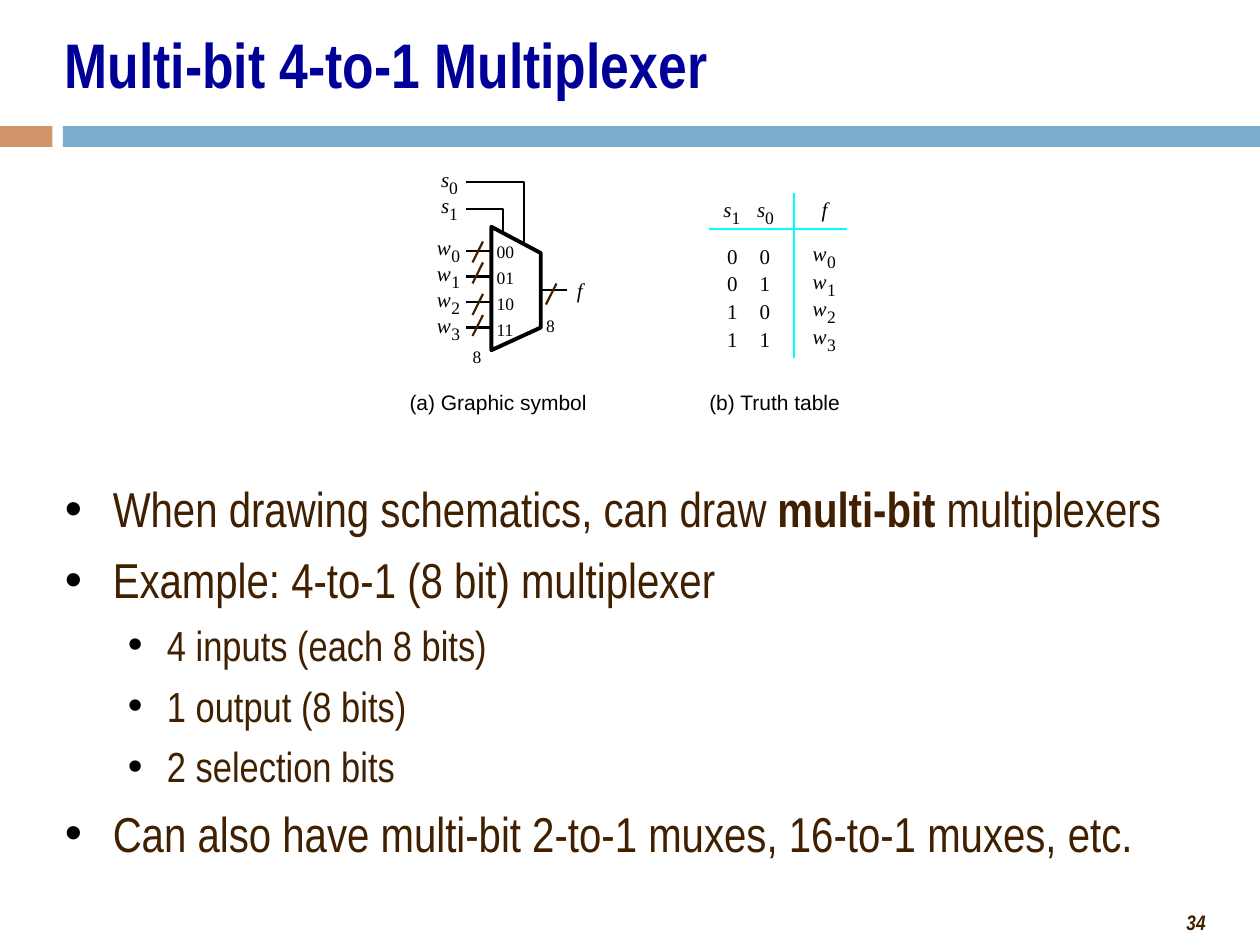
from lxml.etree import SubElement
from pptx import Presentation
from pptx.dml.color import RGBColor
from pptx.enum.shapes import MSO_CONNECTOR, MSO_SHAPE
from pptx.enum.text import MSO_ANCHOR, PP_ALIGN
from pptx.oxml.ns import qn
from pptx.util import Inches, Pt

BLACK = RGBColor(0x00, 0x00, 0x00)
WHITE = RGBColor(0xFF, 0xFF, 0xFF)
NAVY = RGBColor(0x00, 0x00, 0x99)
BROWN = RGBColor(0x40, 0x20, 0x00)
ORANGE = RGBColor(0xCF, 0x94, 0x67)
BLUE = RGBColor(0x7A, 0xAD, 0xCC)
CYAN = RGBColor(0x00, 0xFF, 0xFF)

presentation = Presentation()
presentation.slide_width = Inches(10)
presentation.slide_height = Inches(7.5)
slide = presentation.slides.add_slide(presentation.slide_layouts[6])

# The slide is a grid of 120 columns by 90 rows; every place below is in cells.
CELL = presentation.slide_width / 120


def add_text(text, column, row, width=2, height=2.4, size=12, font="Times New Roman",
             color=BLACK, bold=False, italic=False, align=PP_ALIGN.LEFT,
             anchor=MSO_ANCHOR.TOP, inset=0):
    box = slide.shapes.add_textbox(*(round(n * CELL) for n in (column, row, width, height)))
    frame = box.text_frame
    frame.word_wrap = True
    frame.vertical_anchor = anchor
    frame.margin_left = frame.margin_right = Inches(inset)
    frame.margin_top = frame.margin_bottom = Inches(inset / 2)
    paragraph = frame.paragraphs[0]
    paragraph.alignment = align
    run = paragraph.add_run()
    run.text = text
    run.font.size, run.font.name = Pt(size), font
    run.font.bold, run.font.italic = bold, italic
    run.font.color.rgb = color
    return frame


def add_line(points, color=BLACK, weight=1.25, fill=None):
    """Draw a straight line, an open path, or a closed outline when filled."""
    points = [(round(x * CELL), round(y * CELL)) for x, y in points]
    if len(points) == 2:
        line = slide.shapes.add_connector(MSO_CONNECTOR.STRAIGHT, *points[0], *points[1])
        SubElement(line._element.spPr, qn("a:effectLst"))
    else:
        builder = slide.shapes.build_freeform(*points[0])
        builder.add_line_segments(points[1:], close=fill is not None)
        line = builder.convert_to_shape()
        line.shadow.inherit = False
        if fill is None:
            line.fill.background()
        else:
            line.fill.solid()
            line.fill.fore_color.rgb = fill
    line.line.color.rgb = color
    line.line.width = Pt(weight)


# Header band, title and page number
for column, width, color in ((0, 5, ORANGE), (6, 114, BLUE)):
    band = slide.shapes.add_shape(MSO_SHAPE.RECTANGLE, *(round(n * CELL) for n in (column, 12, width, 2)))
    band.shadow.inherit = False
    band.fill.solid()
    band.fill.fore_color.rgb = color
    band.line.fill.background()
add_text("Multi-bit 4-to-1 Multiplexer", 5, 1, 110, 10, size=36, font="Arial Narrow",
         color=NAVY, bold=True, anchor=MSO_ANCHOR.MIDDLE, inset=0.1)
add_text("34", 90, 86, 26, 3.6, font="Arial Narrow", color=BROWN, bold=True, italic=True,
         align=PP_ALIGN.RIGHT, inset=0.1)

# Bulleted text: level and runs, where every second run is bold
bullets = [
    (0, ["When drawing schematics, can draw ", "multi-bit", " multiplexers"]),
    (0, ["Example: 4-to-1 (8 bit) multiplexer"]),
    (1, ["4 inputs (each 8 bits)"]),
    (1, ["1 output (8 bits)"]),
    (1, ["2 selection bits"]),
    (0, ["Can also have multi-bit 2-to-1 muxes, 16-to-1 muxes, etc."]),
]
level_formats = [(28, 7, 0.38, 0.38), (24, 6, 0.81, 0.31)]
body = add_text("", 5, 45, 110, 39, inset=0.1)
body.clear()
for index, (level, runs) in enumerate(bullets):
    size, space, margin, hanging = level_formats[level]
    paragraph = body.add_paragraph() if index else body.paragraphs[0]
    paragraph.level = level
    paragraph.space_before = Pt(space if index else 0)
    properties = paragraph._p.get_or_add_pPr()
    properties.set("marL", str(Inches(margin)))
    properties.set("indent", str(-Inches(hanging)))
    bullet_color = SubElement(properties, qn("a:buClr"))
    SubElement(bullet_color, qn("a:srgbClr"), val=str(BLACK))
    SubElement(properties, qn("a:buFont"), typeface="Arial")
    SubElement(properties, qn("a:buChar"), char="•")
    for position, text in enumerate(runs):
        run = paragraph.add_run()
        run.text = text
        run.font.size, run.font.name = Pt(size), "Arial Narrow"
        run.font.bold = position % 2 == 1
        run.font.color.rgb = BROWN

# Multiplexer symbol
WIRE_LEFT, MUX_LEFT, MUX_RIGHT = 44.4, 46.8, 51.5
add_line([(MUX_RIGHT, 31.2), (MUX_RIGHT, 24.1), (MUX_LEFT, 21.6), (MUX_LEFT, 33.35)],
         weight=2.25, fill=WHITE)
add_line([(WIRE_LEFT, 17.3), (49.9, 17.3), (49.9, 23.2)])
add_line([(WIRE_LEFT, 19.9), (47.9, 19.9), (47.9, 22.3)])
add_line([(MUX_RIGHT, 27.6), (54, 27.6)])
for index, code in enumerate(("00", "01", "10", "11")):
    wire_row = 23.9 + index * 2.43
    add_line([(WIRE_LEFT, wire_row), (MUX_LEFT, wire_row)])
    add_text(code, 47.3, 22.95 + index * 2.48, size=10)
for column, row in ((45, 23), (45, 25), (45, 28), (45, 30), (52, 27)):
    add_line([(column + 1, row), (column, row + 2)], color=BROWN)
for column, row in ((45, 33), (52, 30)):
    add_text("8", column, row, size=10)

# Truth table rules and selection values
add_line([(67.55, 21.85), (80.65, 21.85)], color=CYAN)
add_line([(75.6, 18.4), (75.6, 34.05)], color=CYAN)
TABLE_PITCH = 2.64
for index in range(4):
    for column, bit in ((69.25, index // 2), (72.35, index % 2)):
        add_text(str(bit), column, 23.15 + index * TABLE_PITCH)

# Italic variables with their subscripts
variables = [("s", 0, 42, 15.85), ("s", 1, 42, 18.35),
             ("s", 1, 68.9, 18.75), ("s", 0, 72.1, 18.75)]
for index in range(4):
    variables.append(("w", index, 41.6, 22.3 + index * 2.48))
    variables.append(("w", index, 77.4, 22.9 + index * TABLE_PITCH))
for letter, subscript, column, row in variables:
    add_text(letter, column, row, italic=True)
    add_text(str(subscript), column + (1.38 if letter == "w" else 0.78), row + 1, size=10)
for column, row in ((54.95, 26.4), (78.25, 18.75)):
    add_text("f", column, row, italic=True)

for caption, column in (("(a) Graphic symbol", 39), ("(b) Truth table", 67.55)):
    add_text(caption, column, 37.1, width=20, font="Arial")

presentation.save("out.pptx")
